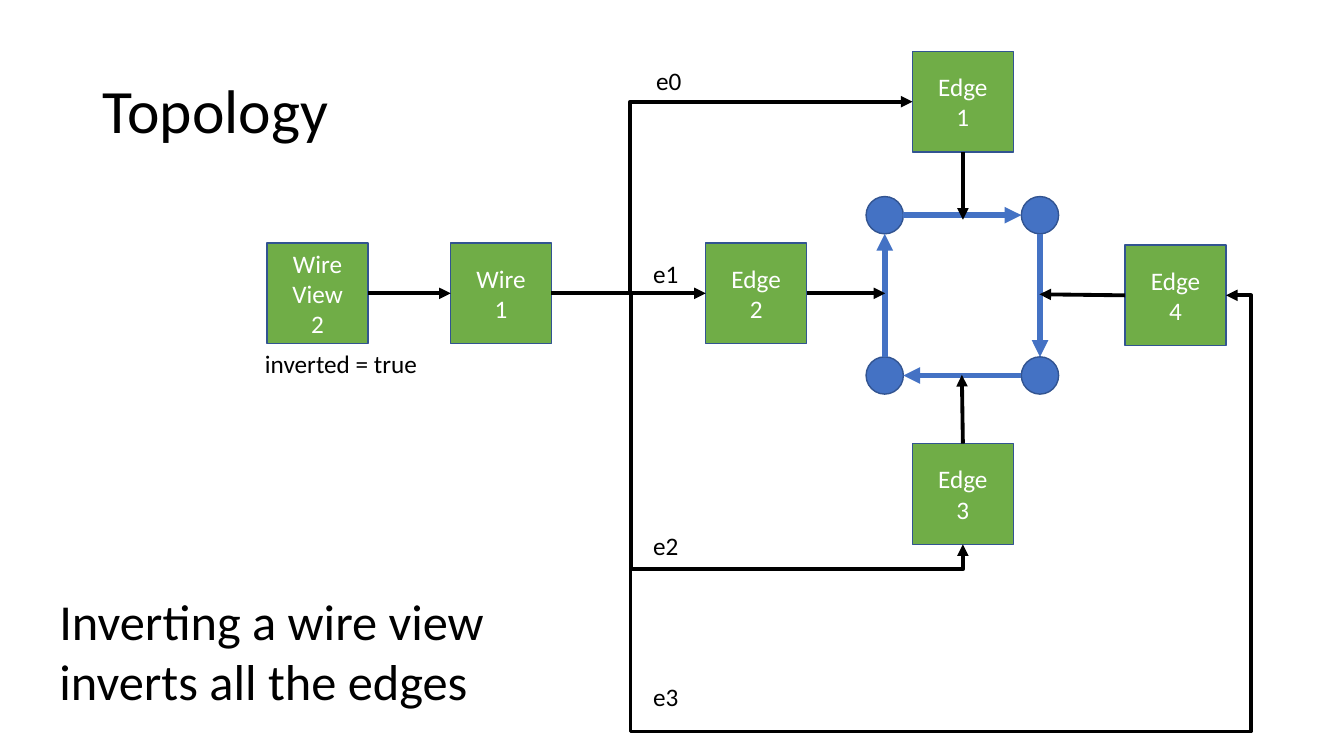
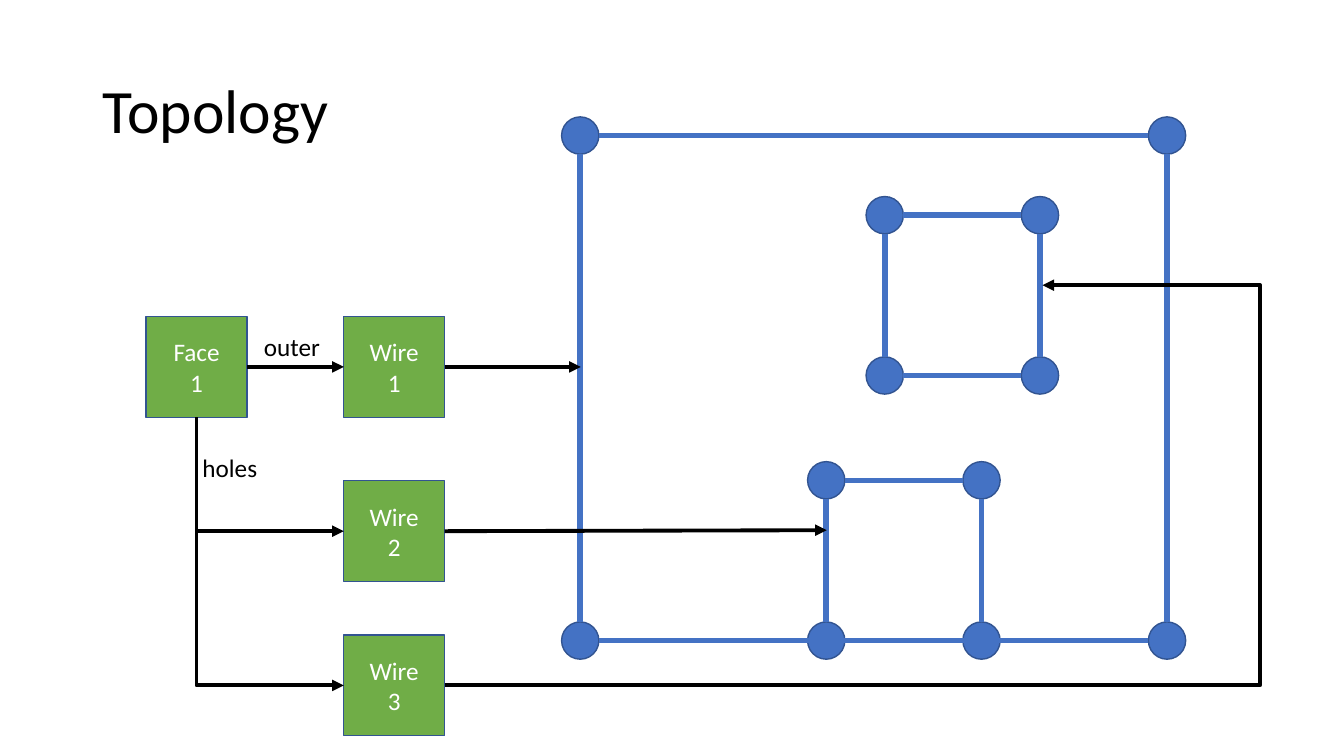
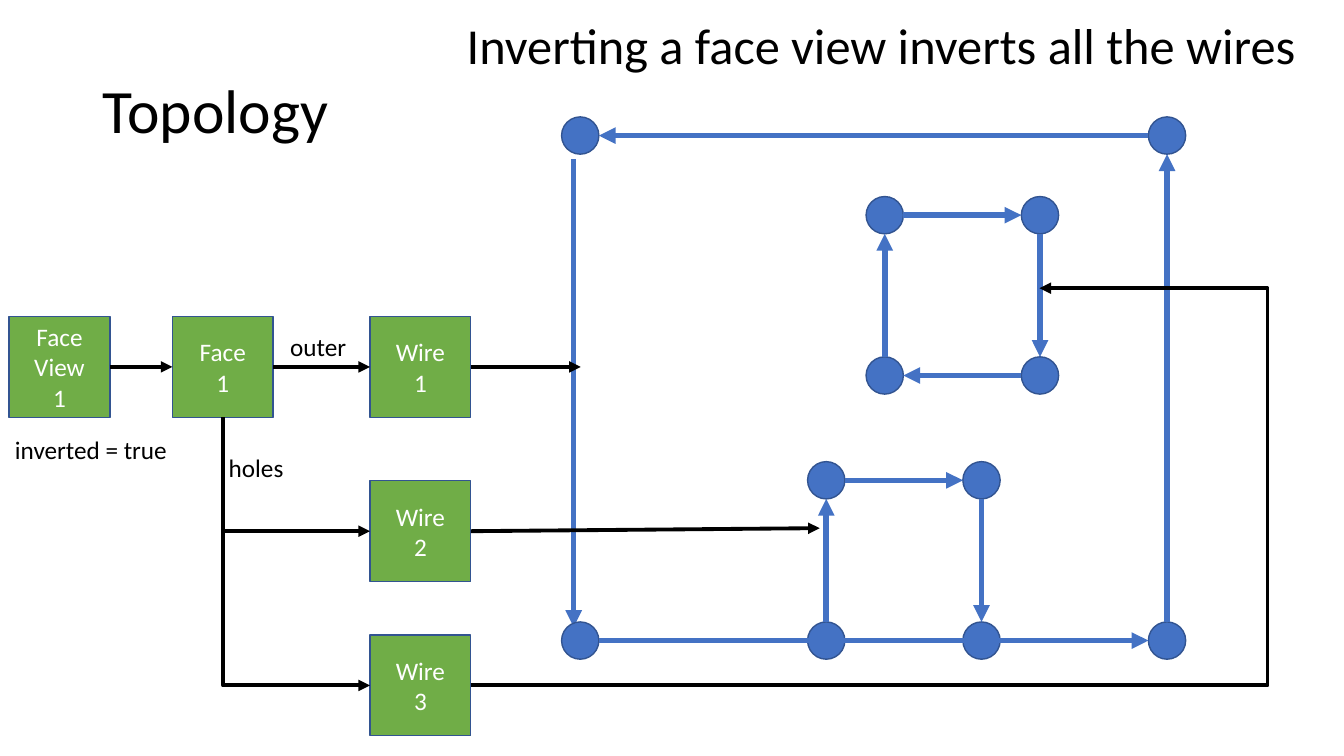
from typing import NamedTuple, Optional, Union

from lxml.etree import SubElement
from pptx import Presentation
from pptx.dml.color import RGBColor
from pptx.enum.shapes import MSO_CONNECTOR, MSO_SHAPE
from pptx.enum.text import MSO_ANCHOR, MSO_AUTO_SIZE, PP_ALIGN
from pptx.oxml.ns import qn
from pptx.shapes.autoshape import Shape
from pptx.slide import Slide
from pptx.text.text import TextFrame
from pptx.util import Inches, Pt

BLACK = RGBColor(0x00, 0x00, 0x00)
WHITE = RGBColor(0xFF, 0xFF, 0xFF)
GREEN = RGBColor(0x70, 0xAD, 0x47)
BLUE = RGBColor(0x44, 0x72, 0xC4)
NAVY = RGBColor(0x32, 0x54, 0x91)

FONT = "Calibri"
BOX = 1.0
DOT = 0.37
TOP, LEFT, BOTTOM, RIGHT = range(4)
TITLE = {"left": Inches(0.92), "top": Inches(0.4),
         "width": Inches(11.5), "height": Inches(1.45)}


class Point(NamedTuple):
    x: float
    y: float


class Port(NamedTuple):
    """One side of a box, where a link can be attached."""
    box: Shape
    side: int

    def spot(self) -> Point:
        across, down = ((0.5, 0), (0, 0.5), (0.5, 1), (1, 0.5))[self.side]
        return Point(self.box.left.inches + across * BOX,
                     self.box.top.inches + down * BOX)


End = Union[Point, Port]


class Link(NamedTuple):
    """A black arrow; turns holds the x, y, x... at which its route bends.

    No turns at all means straight; an empty tuple is one corner, down first.
    """
    start: End
    end: End
    turns: Optional[tuple[float, ...]] = None


class Ring(NamedTuple):
    """Four dots joined by edges; marks go clockwise from the top edge.

    ">" points clockwise, "<" the other way, "-" is plain, "." is left out.
    """
    x: float
    y: float
    width: float
    height: float
    marks: str = ">>>>"


class Label(NamedTuple):
    text: str
    x: float
    y: float
    width: float
    height: float = 0.4
    size: int = 18
    wrap: bool = False


def style(frame: TextFrame, size: int, color: RGBColor, align: PP_ALIGN) -> None:
    for para in frame.paragraphs:
        para.alignment = align
        for name, value in {"name": FONT, "size": Pt(size)}.items():
            setattr(para.font, name, value)
        para.font.color.rgb = color


def add_page(deck: Presentation) -> Slide:
    page = deck.slides.add_slide(deck.slide_layouts[5])
    title = page.shapes.title
    for name, value in TITLE.items():
        setattr(title, name, value)
    frame = title.text_frame
    frame.text = "Topology"
    frame.auto_size = MSO_AUTO_SIZE.NONE
    frame.vertical_anchor = MSO_ANCHOR.MIDDLE
    frame.paragraphs[0].line_spacing = 0.9
    style(frame, 44, BLACK, PP_ALIGN.LEFT)
    return page


def add_solid(page: Slide, kind: MSO_SHAPE, x: float, y: float,
              size: float, color: RGBColor) -> Shape:
    shape = page.shapes.add_shape(kind, *map(Inches, (x, y, size, size)))
    shape.shadow.inherit = False
    shape.fill.solid()
    shape.fill.fore_color.rgb = color
    shape.line.color.rgb = NAVY
    shape.line.width = Pt(1)
    return shape


def add_box(page: Slide, text: str, x: float, y: float) -> Shape:
    box = add_solid(page, MSO_SHAPE.RECTANGLE, x, y, BOX, GREEN)
    box.text_frame.text = text
    box.text_frame.vertical_anchor = MSO_ANCHOR.MIDDLE
    style(box.text_frame, 18, WHITE, PP_ALIGN.CENTER)
    return box


def add_line(page: Slide, start: Point, end: Point, color: RGBColor = BLACK,
             width: float = 2.75, arrow: bool = True):
    line = page.shapes.add_connector(
        MSO_CONNECTOR.STRAIGHT, *map(Inches, (*start, *end)))
    line.line.color.rgb = color
    line.line.width = Pt(width)
    props = line._element.spPr
    if arrow:
        SubElement(props.find(qn("a:ln")), qn("a:tailEnd"), type="triangle")
    SubElement(props, qn("a:effectLst"))
    return line


def add_link(page: Slide, link: Link) -> None:
    start, end = (tip.spot() if isinstance(tip, Port) else tip
                  for tip in (link.start, link.end))
    line = add_line(page, start, end)
    for tip, attach in ((link.start, line.begin_connect),
                        (link.end, line.end_connect)):
        if isinstance(tip, Port):
            attach(tip.box, tip.side)
    if link.turns is None:
        return
    props = line._element.spPr
    geom = props.find(qn("a:prstGeom"))
    geom.set("prst", f"bentConnector{len(link.turns) + 2}")
    guides = geom.find(qn("a:avLst"))
    for i, turn in enumerate(link.turns):
        axis = i % 2
        ratio = (turn - start[axis]) / (end[axis] - start[axis])
        SubElement(guides, qn("a:gd"), name=f"adj{i + 1}",
                   fmla=f"val {round(ratio * 100000)}")
    if not link.turns:
        turn_corner(line)


def turn_corner(line) -> None:
    """Rotate a one-corner connector so that it goes down before right."""
    wide, high = line.width, line.height
    shift = (wide - high) // 2
    line.left, line.top = line.left + shift, line.top - shift
    line.width, line.height = high, wide
    frame = line._element.spPr.find(qn("a:xfrm"))
    frame.set("rot", str(270 * 60000))
    frame.set("flipH", "1")


def add_ring(page: Slide, ring: Ring) -> None:
    x, y, width, height, marks = ring
    spots = [Point(x, y), Point(x + width, y),
             Point(x + width, y + height), Point(x, y + height)]
    for spot in spots:
        add_solid(page, MSO_SHAPE.OVAL, *spot, DOT, BLUE)
    half = DOT / 2
    steps = ((1, 0), (0, 1), (-1, 0), (0, -1))
    for i, (mark, (dx, dy)) in enumerate(zip(marks, steps)):
        if mark == ".":
            continue
        a, b = spots[i], spots[(i + 1) % 4]
        start = Point(a.x + half * (1 + dx), a.y + half * (1 + dy))
        end = Point(b.x + half * (1 - dx), b.y + half * (1 - dy))
        if mark == "<":
            start, end = end, start
        add_line(page, start, end, BLUE, 4, mark != "-")


def add_label(page: Slide, label: Label) -> None:
    area = map(Inches, (label.x, label.y, label.width, label.height))
    frame = page.shapes.add_textbox(*area).text_frame
    frame.text = label.text
    frame.word_wrap = label.wrap
    frame.auto_size = MSO_AUTO_SIZE.SHAPE_TO_FIT_TEXT
    style(frame, label.size, BLACK, PP_ALIGN.LEFT)


def draw_wire(page: Slide) -> None:
    """A wire view, its wire and the four edges of the loop."""
    add_ring(page, Ring(8.59, 1.95, 1.54, 1.59))
    view = add_box(page, "Wire\nView\n2", 2.65, 2.41)
    wire = add_box(page, "Wire\n1", 4.47, 2.41)
    spots = ((9.05, 0.51), (7, 2.41), (9.05, 4.4), (11.16, 2.43))
    north, west, south, east = (
        add_box(page, f"Edge\n{i}", *spot) for i, spot in enumerate(spots, 1))
    out = Port(wire, RIGHT)
    for link in (
        Link(Port(view, RIGHT), Port(wire, LEFT)),
        Link(out, Port(north, LEFT), (6.25,)),
        Link(out, Port(west, LEFT)),
        Link(out, Port(south, BOTTOM), (6.26, 5.65)),
        Link(out, Port(east, RIGHT), (6.25, 7.24, 12.41)),
        Link(Port(north, BOTTOM), Point(9.55, 2.18)),
        Link(Port(west, RIGHT), Point(8.78, 2.91)),
        Link(Port(south, TOP), Point(9.54, 3.72)),
        Link(Port(east, LEFT), Point(10.31, 2.92)),
    ):
        add_link(page, link)
    for label in (
        Label("e0", 6.41, 0.6, 0.46),
        Label("e1", 6.38, 2.51, 0.46),
        Label("e2", 6.38, 5.21, 0.46),
        Label("e3", 6.38, 6.71, 0.46),
        Label("inverted = true", 2.53, 3.41, 2.24, wrap=True),
        Label("Inverting a wire view inverts all the edges",
              0.49, 5.8, 5.75, 1.31, 36, True),
    ):
        add_label(page, label)


def draw_face(page: Slide, shift: float, marks: tuple[str, str, str],
              low: Point, high: Point, bend: float) -> Shape:
    """A face with its outer wire and two holes; returns the face box.

    low and high are the tips of the arrows to the two holes.
    """
    hole, notch, outer = marks
    for ring in (Ring(8.59, 1.95, 1.54, 1.59, hole),
                 Ring(8.01, 4.58, 1.54, 1.59, notch),
                 Ring(5.57, 1.16, 5.82, 5.01, outer)):
        add_ring(page, ring)
    face = add_box(page, "Face\n1", 1.45 + shift, 3.14)
    wires = [add_box(page, f"Wire\n{i}", 3.41 + shift, y)
             for i, y in enumerate((3.14, 4.77, 6.3), 1)]
    first, second, third = (Port(wire, RIGHT) for wire in wires)
    for link in (
        Link(Port(face, RIGHT), Port(wires[0], LEFT)),
        *(Link(Port(face, BOTTOM), Port(wire, LEFT), ()) for wire in wires[1:]),
        Link(first, Point(5.76, 3.64)),
        Link(second, low),
        Link(third, high, (bend,)),
    ):
        add_link(page, link)
    add_label(page, Label("outer", 2.52 + shift, 3.24, 0.76))
    add_label(page, Label("holes", 1.91 + shift, 4.44, 0.75))
    return face


def draw_view(page: Slide) -> None:
    """The inverted view of the face, with the direction of every edge."""
    add_line(page, Point(5.69, 1.58), Point(5.69, 6.22), BLUE, 4)
    face = draw_face(page, 0.26, (">>>>", ">>->", "<<<."),
                     Point(8.13, 5.24), Point(10.31, 2.86), 12.57)
    view = add_box(page, "Face\nView\n1", 0.09, 3.14)
    add_link(page, Link(Port(view, RIGHT), Port(face, LEFT)))
    add_label(page, Label("inverted = true", 0.05, 4.26, 2.24, wrap=True))
    add_label(page, Label("Inverting a face view inverts all the wires",
                          4.53, 0.09, 8.5, 0.71, 36))


def main() -> None:
    deck = Presentation()
    deck.slide_width, deck.slide_height = Inches(13.33), Inches(7.5)
    draw_wire(add_page(deck))
    draw_face(add_page(deck), 0, ("----",) * 3,
              Point(8.2, 5.26), Point(10.34, 2.83), 12.5)
    draw_view(add_page(deck))
    deck.save("out.pptx")


if __name__ == "__main__":
    main()
